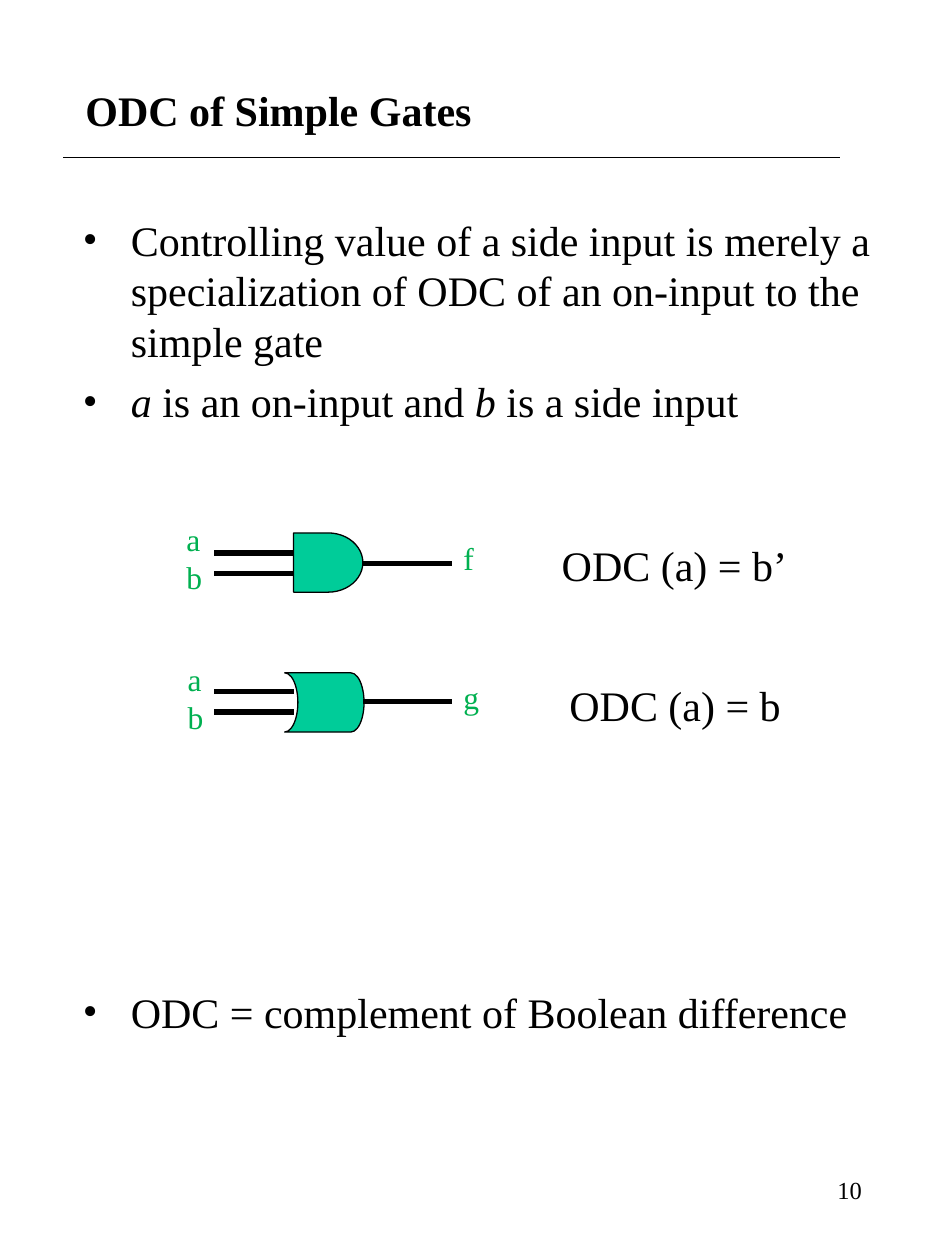
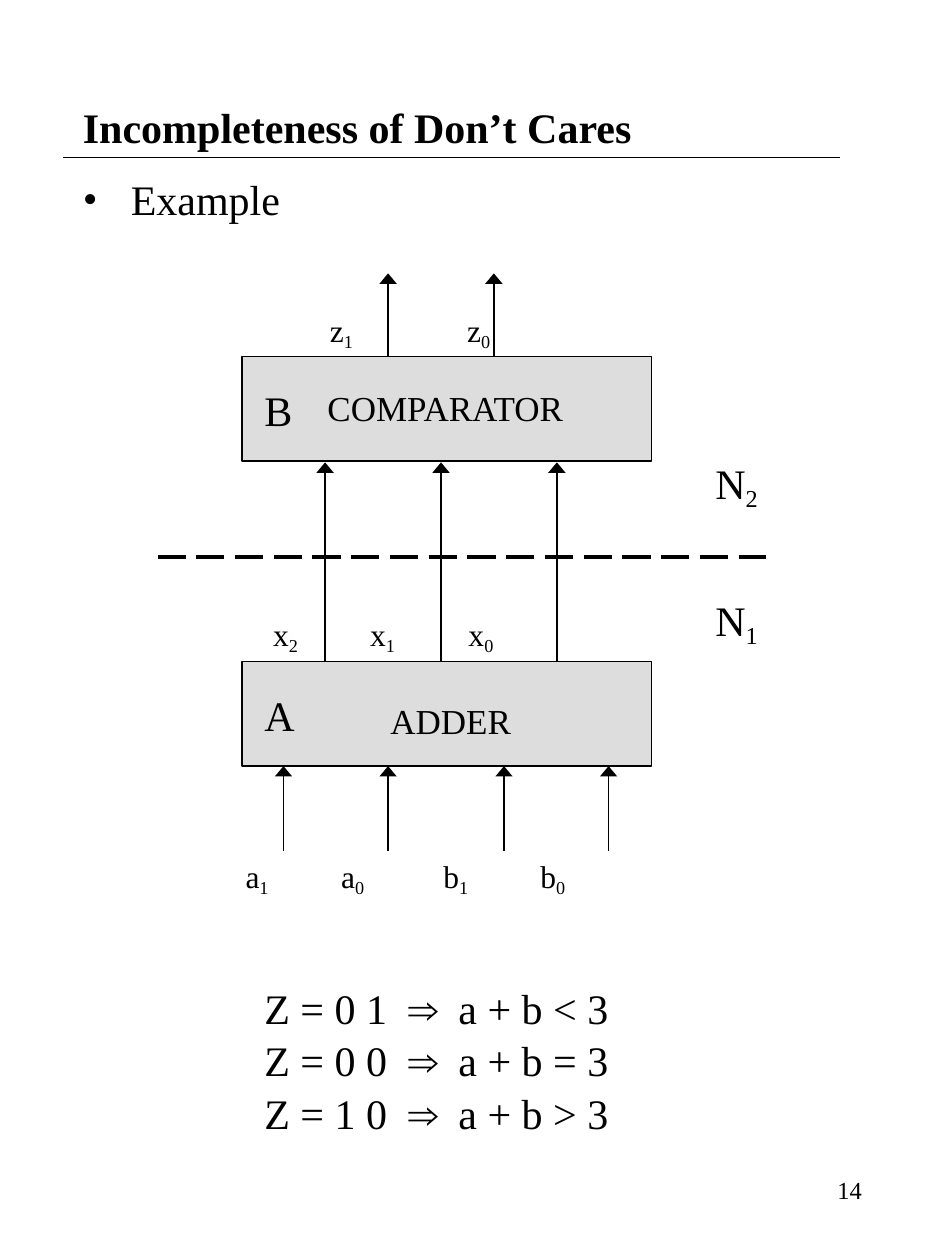
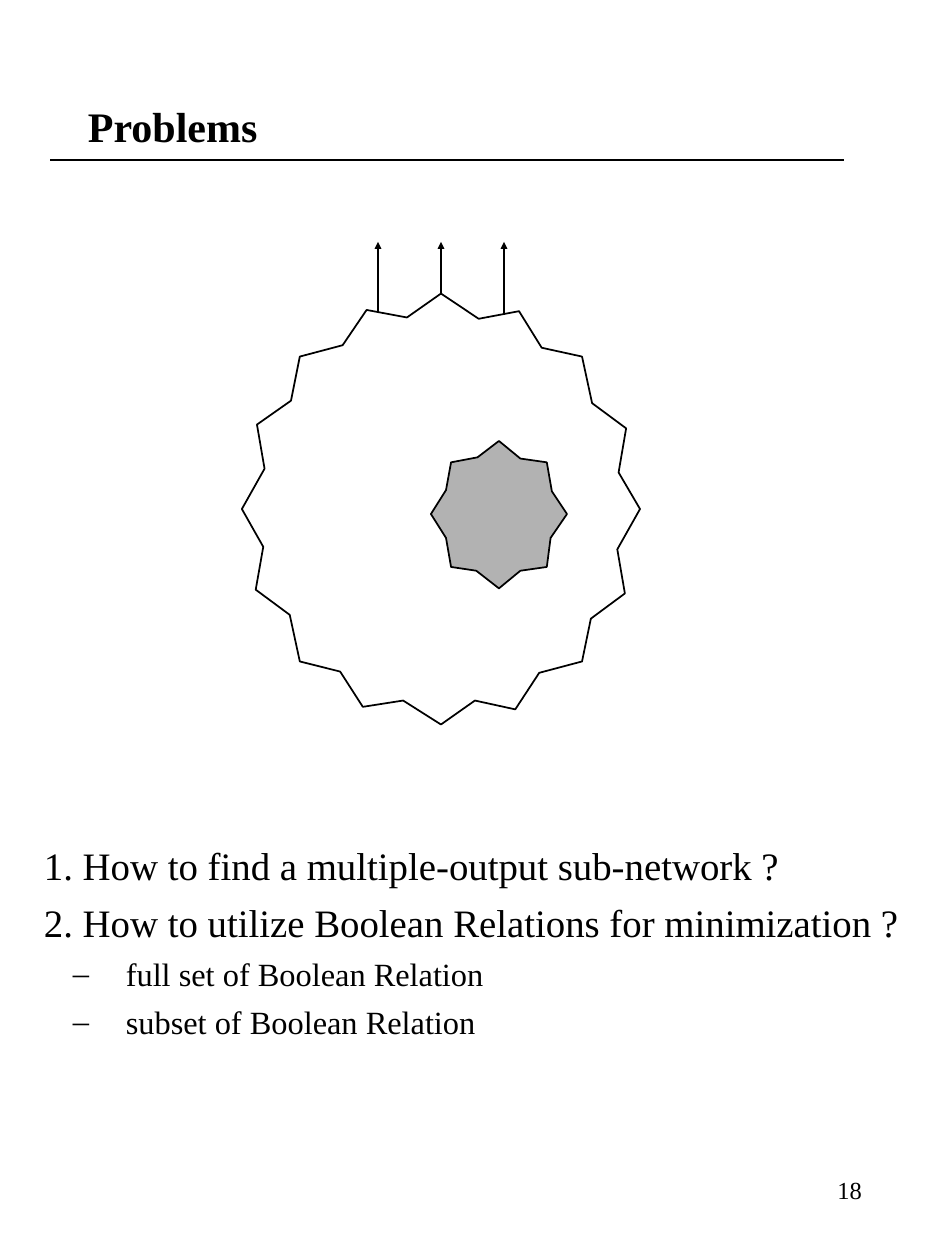
from lxml import etree
from pptx import Presentation
from pptx.dml.color import RGBColor
from pptx.enum.dml import MSO_LINE
from pptx.enum.shapes import MSO_CONNECTOR, MSO_SHAPE
from pptx.enum.text import MSO_ANCHOR, PP_ALIGN
from pptx.oxml.ns import qn
from pptx.util import Inches, Pt

STRAIGHT = MSO_CONNECTOR.STRAIGHT
LONG_DASH = MSO_LINE.LONG_DASH
RECTANGLE = MSO_SHAPE.RECTANGLE
AND_BODY = MSO_SHAPE.FLOWCHART_DELAY
OR_BODY = MSO_SHAPE.FLOWCHART_STORED_DATA
MIDDLE = MSO_ANCHOR.MIDDLE
RIGHT = PP_ALIGN.RIGHT

BLACK = RGBColor(0x00, 0x00, 0x00)
WHITE = RGBColor(0xFF, 0xFF, 0xFF)
GATE_TEAL = RGBColor(0x00, 0xCC, 0x99)
SIGNAL_GREEN = RGBColor(0x00, 0xB0, 0x50)
BLOCK_GRAY = RGBColor(0xDD, 0xDD, 0xDD)
SUBNET_GRAY = RGBColor(0xB2, 0xB2, 0xB2)

SERIF = "Times New Roman"
BODY_SIZE = 24
SIGNAL_SIZE = 18
HUNDREDTH = Inches(0.01)
ITALIC = {"italic": True}
SUBSCRIPT = {"baseline": -20000}

NETWORK_OUTLINE = [
    (192, 404), (209, 434), (203, 468), (230, 488), (238, 525), (270, 533),
    (288, 561), (320, 556), (350, 575), (377, 556), (409, 563), (428, 534),
    (462, 525), (469, 491), (496, 471), (490, 436), (508, 404), (491, 375),
    (497, 340), (470, 320), (462, 283), (430, 276), (412, 247), (380, 253),
    (350, 233), (323, 252), (291, 246), (272, 274), (238, 283), (231, 318),
    (204, 337), (210, 372),
]
SUBNET_OUTLINE = [
    (342, 408), (354, 427), (358, 450), (378, 453), (396, 467), (413, 453),
    (434, 450), (437, 427), (450, 408), (438, 390), (434, 367), (413, 364),
    (396, 350), (379, 363), (358, 367), (354, 389),
]


def add_xml(parent, tag, **attributes):
    return etree.SubElement(parent, qn(tag), attributes)


def set_bullet(paragraph, mark, margin, indent):
    properties = paragraph._p.get_or_add_pPr()
    properties.set("marL", str(Inches(margin)))
    properties.set("indent", str(Inches(indent)))
    if mark:
        color = add_xml(properties, "a:buClr")
        add_xml(color, "a:srgbClr", val=str(BLACK))
        add_xml(properties, "a:buFont", typeface=SERIF)
        add_xml(properties, "a:buChar", char=mark)


def set_tabs(paragraph, stops):
    tab_list = add_xml(paragraph._p.get_or_add_pPr(), "a:tabLst")
    for stop in stops:
        add_xml(tab_list, "a:tab", pos=str(Inches(stop)), algn="l")


def add_runs(paragraph, runs, size, color=BLACK, bold=False):
    if isinstance(runs, str):
        runs = [(runs, {})]
    for text, extra in runs:
        run = paragraph.add_run()
        run.text = text
        font_values = {"name": SERIF, "size": Pt(size), "bold": bold, **extra}
        baseline = font_values.pop("baseline", None)
        for attribute, value in font_values.items():
            setattr(run.font, attribute, value)
        run.font.color.rgb = color
        if baseline:
            run._r.get_or_add_rPr().set("baseline", str(baseline))


def add_frame(slide, box, **frame_values):
    frame = slide.shapes.add_textbox(*map(Inches, box)).text_frame
    for attribute, value in {"word_wrap": True, **frame_values}.items():
        setattr(frame, attribute, value)
    return frame


def add_text(slide, box, lines, size, color=BLACK, bold=False, align=None,
             tabs=(), **frame_values):
    frame = add_frame(slide, box, **frame_values)
    for number, runs in enumerate(lines):
        paragraph = frame.add_paragraph() if number else frame.paragraphs[0]
        paragraph.alignment = align
        if tabs:
            set_tabs(paragraph, tabs)
        add_runs(paragraph, runs, size, color, bold)


def add_body(slide, box, items, top_inset=0.05):
    frame = add_frame(slide, box, margin_top=Inches(top_inset))
    for number, (runs, size, before, bullet) in enumerate(items):
        paragraph = frame.add_paragraph() if number else frame.paragraphs[0]
        if number:
            paragraph.space_before = Pt(before)
        set_bullet(paragraph, *bullet)
        add_runs(paragraph, runs, size)


def add_line(slide, start, end, width=1, dash=None, head=None):
    line = slide.shapes.add_connector(STRAIGHT, *map(Inches, start + end))
    line.line.color.rgb = BLACK
    line.line.width = Pt(width)
    if dash:
        line.line.dash_style = dash
    if head:
        add_xml(line.line._get_or_add_ln(), "a:tailEnd", type="triangle", **head)
    add_xml(line._element.spPr, "a:effectLst")


def add_up_arrows(slide, columns, bottom, top, head):
    for x in columns:
        add_line(slide, (x, bottom), (x, top), head=head)


def style_shape(shape, fill, width=1):
    shape.shadow.inherit = False
    shape.fill.solid()
    shape.fill.fore_color.rgb = fill
    shape.line.color.rgb = BLACK
    shape.line.width = Pt(width)


def add_preset(slide, kind, box, fill, width=1):
    shape = slide.shapes.add_shape(kind, *map(Inches, box))
    style_shape(shape, fill, width)
    return shape


def add_outline(slide, points, fill):
    builder = slide.shapes.build_freeform(*points[0], scale=HUNDREDTH)
    builder.add_line_segments(points[1:], close=True)
    style_shape(builder.convert_to_shape(), fill)


def add_gate(slide, kind, body, middle, inputs_box, output, output_top):
    shape = add_preset(slide, kind, body, GATE_TEAL, 0.75)
    if kind == OR_BODY:
        shape._element.spPr.get_or_add_xfrm().set("flipH", "1")
    add_line(slide, (2.88, middle), (3.59, middle), 3)
    for offset in (-0.08, 0.08):
        add_line(slide, (2.33, middle + offset), (1.7, middle + offset), 3)
    for box, names in ((inputs_box, ["a", "b"]),
                       ((3.58, output_top, 0.32, 0.4), [output])):
        add_text(slide, box, names, SIGNAL_SIZE, SIGNAL_GREEN, word_wrap=False)


def signal_row(*signals):
    return [run for name, index in signals
            for run in (("\t" + name, {}), (index, SUBSCRIPT))]


def add_slide(deck, title, title_box, rule, number):
    slide = deck.slides.add_slide(deck.slide_layouts[6])
    left, right, y = rule
    add_line(slide, (left, y), (right, y))
    add_text(slide, title_box, [title], BODY_SIZE, bold=True,
             vertical_anchor=MIDDLE)
    add_text(slide, (5.38, 9.11, 1.56, 0.67), [str(number)], 14, align=RIGHT,
             vertical_anchor=MIDDLE)
    return slide


def build_gates(deck):
    slide = add_slide(deck, "ODC of Simple Gates", (0.58, 0.33, 6.37, 1.08),
                      (0.5, 6.67, 1.25), 10)
    dot = ("•", 0.38, -0.38)
    add_body(slide, (0.56, 1.17, 6.51, 8.25), [
        ("Controlling value of a side input is merely a specialization of ODC "
         "of an on-input to the simple gate", BODY_SIZE, 6, dot),
        ([("a ", ITALIC), ("is an on-input and ", {}), ("b", ITALIC),
          (" is a side input", {})], BODY_SIZE, 6, dot),
        ("ODC = complement of Boolean difference", BODY_SIZE, 320, dot),
    ], top_inset=0.53)
    add_gate(slide, AND_BODY, (2.33, 4.23, 0.55, 0.47), 4.47,
             (1.38, 4.08, 0.32, 0.7), "f", 4.23)
    add_gate(slide, OR_BODY, (2.26, 5.34, 0.63, 0.47), 5.57,
             (1.39, 5.19, 0.32, 0.7), "g", 5.33)
    add_text(slide, (4.36, 4.23, 2.13, 0.5), ["ODC (a) = b’"], BODY_SIZE)
    add_text(slide, (4.42, 5.34, 2.05, 0.5), ["ODC (a) = b"], BODY_SIZE)


def build_example(deck):
    slide = add_slide(deck, "Incompleteness of Don’t Cares",
                      (0.56, 0.42, 6.37, 1.17), (0.5, 6.67, 1.25), 14)
    add_body(slide, (0.56, 1.33, 6.37, 7.56),
             [("Example", BODY_SIZE, 6, ("•", 0.38, -0.38))])
    for top in (2.83, 5.25):
        add_preset(slide, RECTANGLE, (1.92, top, 3.25, 0.83), BLOCK_GRAY)
    add_text(slide, (2.5, 3.02, 2.25, 0.44), ["COMPARATOR"], 20)
    add_text(slide, (3, 5.5, 1.17, 0.44), ["ADDER"], 20)
    for letter, top in (("B", 3), ("A", 5.42)):
        add_text(slide, (2, top, 0.33, 0.5), [letter], BODY_SIZE)

    wide_head = {"w": "lg", "len": "med"}
    add_up_arrows(slide, (2.58, 3.5, 4.42), 5.25, 3.67, wide_head)
    add_up_arrows(slide, (2.25, 3.08, 4, 4.83), 6.75, 6.08, wide_head)
    add_up_arrows(slide, (3.08, 3.92), 2.83, 2.17, wide_head)
    add_line(slide, (1.25, 4.42), (6.08, 4.42), 2, LONG_DASH)

    for box, tabs, signals in (
        ((2.42, 2.42, 2.17, 0.44), (0.1, 1.19), ("z1", "z0")),
        ((2, 4.83, 3.33, 0.44), (0.07, 0.84, 1.62), ("x2", "x1", "x0")),
        ((1.75, 6.75, 3.75, 0.44), (0.1, 0.86, 1.67, 2.44),
         ("a1", "a0", "b1", "b0")),
    ):
        add_text(slide, box, [signal_row(*signals)], SIGNAL_SIZE, tabs=tabs)
    for index, top in (("2", 3.58), ("1", 4.67)):
        add_text(slide, (5.58, top, 0.67, 0.54),
                 [[("N", {}), (index, SUBSCRIPT)]], BODY_SIZE)
    for row, (bits, relation) in enumerate(
            (("0 1", "<"), ("0 0", "="), ("1 0", ">"))):
        add_text(slide, (2, 7.75 + row * 0.415, 3.08, 0.5),
                 [[(f"Z = {bits}\t", {}), ("⇒", {"name": "Arial"}),
                   (f"\ta + b {relation} 3", {})]],
                 BODY_SIZE, tabs=(1.14, 1.54))


def build_problems(deck):
    slide = add_slide(deck, "Problems", (0.6, 0.4, 6.37, 1.2),
                      (0.4, 6.7, 1.27), 18)
    add_up_arrows(slide, (3, 3.5, 4), 2.83, 1.92, {"w": "sm", "len": "sm"})
    add_outline(slide, NETWORK_OUTLINE, WHITE)
    add_outline(slide, SUBNET_OUTLINE, SUBNET_GRAY)
    question = (None, 0.38, -0.38)
    dash = ("–", 0.65, -0.42)
    add_body(slide, (0.25, 5.58, 7.25, 3.08), [
        ("1. How to find a multiple-output sub-network ?", 22.2, 6, question),
        ("2. How to utilize Boolean Relations for minimization ?", 22.2, 6,
         question),
        ("full set of Boolean Relation", 18.5, 5, dash),
        ("subset of Boolean Relation", 18.5, 5, dash),
    ], top_inset=1.1)


def main():
    deck = Presentation()
    deck.slide_width = Inches(7.5)
    deck.slide_height = Inches(10)
    build_gates(deck)
    build_example(deck)
    build_problems(deck)
    deck.save("out.pptx")


if __name__ == "__main__":
    main()
